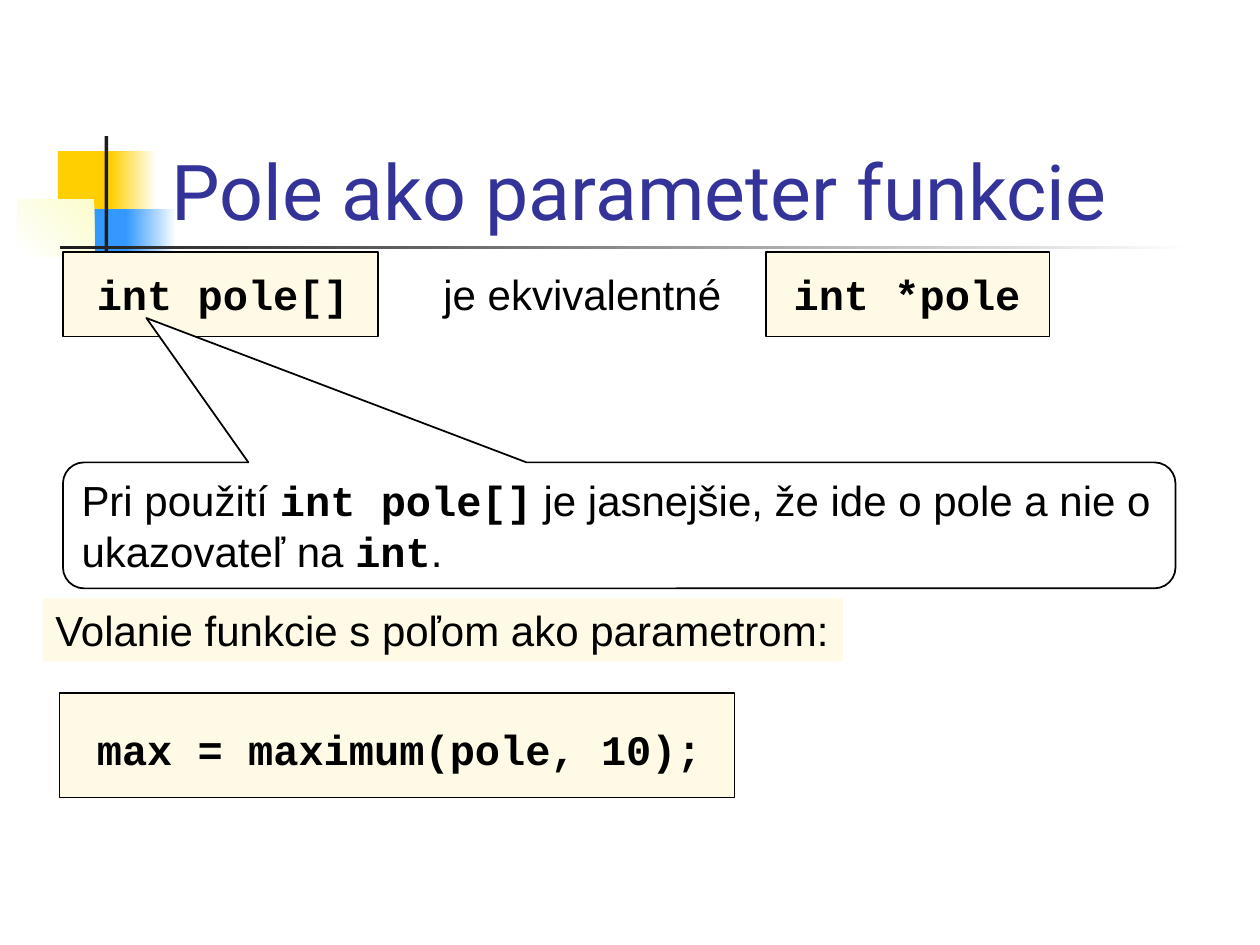
from dataclasses import dataclass

from pptx import Presentation
from pptx.dml.color import RGBColor
from pptx.enum import shapes, text
from pptx.util import Inches, Pt


@dataclass(frozen=True)
class Theme:
    title: str = "333399"
    ink: str = "000000"
    paper: str = "FFFFFF"
    cream: str = "FFFAE5"
    yellow: str = "FFCF01"
    blue: str = "3399FF"
    lime: str = "FBFCCC"
    dark: str = "1C1C1C"
    title_font: str = "Roboto"
    body_font: str = "Arial"
    code_font: str = "Courier New"
    title_size: int = 44
    body_size: int = 24


THEME = Theme()
CODE = {"font": THEME.code_font, "bold": True}


def add_run(paragraph, words, font=THEME.body_font, size=THEME.body_size,
            color=THEME.ink, bold=False):
    run = paragraph.add_run()
    run.text = words
    run.font.name = font
    run.font.size = Pt(size)
    run.font.bold = bold
    run.font.color.rgb = RGBColor.from_string(color)


def add_panel(parent, box, fill, line=None, width=0.75,
              kind=shapes.MSO_SHAPE.RECTANGLE, angle=180):
    panel = parent.add_shape(kind, *map(Inches, box))
    panel.shadow.inherit = False
    if isinstance(fill, tuple):
        panel.fill.gradient()
        panel.fill.gradient_angle = angle
        for stop, color in zip(panel.fill.gradient_stops, fill):
            stop.color.rgb = RGBColor.from_string(color)
    else:
        panel.fill.solid()
        panel.fill.fore_color.rgb = RGBColor.from_string(fill)
    if line:
        panel.line.color.rgb = RGBColor.from_string(line)
        panel.line.width = Pt(width)
    else:
        panel.line.fill.background()
    return panel


def add_label(parent, box, words, wrap=True, fill=None, **style):
    label = parent.add_textbox(*map(Inches, box))
    if fill:
        label.fill.solid()
        label.fill.fore_color.rgb = RGBColor.from_string(fill)
    frame = label.text_frame
    frame.word_wrap = wrap
    frame.auto_size = text.MSO_AUTO_SIZE.SHAPE_TO_FIT_TEXT
    add_run(frame.paragraphs[0], words, **style)


def add_ornament(slide, left, top):
    pieces = [
        ((0.32, 0.12, 0.48, 0.52), THEME.yellow, 180),
        ((0.74, 0.12, 0.36, 0.52), (THEME.paper, THEME.yellow), 180),
        ((0.45, 0.58, 0.46, 0.52), THEME.blue, 180),
        ((0.86, 0.58, 0.4, 0.52), (THEME.paper, THEME.blue), 180),
        ((0, 0.5, 0.61, 0.46), (THEME.lime, THEME.paper), 225),
        ((0.69, 0, 0.03, 1.15), THEME.dark, 180),
        ((0.34, 0.87, 9, 0.03), (THEME.paper, THEME.dark), 180),
    ]
    for (x, y, width, height), fill, angle in pieces:
        add_panel(slide.shapes, (left + x, top + y, width, height), fill, angle=angle)


def add_title(slide, box, words):
    title = slide.shapes.title
    title.element.getparent().append(title.element)
    title.left, title.top, title.width, title.height = map(Inches, box)
    frame = title.text_frame
    frame.word_wrap = True
    frame.auto_size = text.MSO_AUTO_SIZE.NONE
    frame.vertical_anchor = text.MSO_ANCHOR.BOTTOM
    heading = frame.paragraphs[0]
    heading.alignment = text.PP_ALIGN.LEFT
    add_run(heading, words, font=THEME.title_font, size=THEME.title_size,
            color=THEME.title)


def add_equivalence(slide, left, top):
    height, label_top = 0.67, top + 0.08
    add_panel(slide.shapes, (left, top, 2.5, height), THEME.cream, THEME.ink)
    add_label(slide.shapes, (left + 0.17, label_top, 2.2, 0.5), "int pole[]",
              wrap=False, **CODE)
    add_label(slide.shapes, (left + 2.92, label_top, 2.41, 0.5), "je ekvivalentné")
    add_panel(slide.shapes, (left + 5.58, top, 2.25, height), THEME.cream, THEME.ink)
    add_label(slide.shapes, (left + 5.7, label_top, 2, 0.5), "int *pole", **CODE)


def add_call(slide, left, top):
    call = slide.shapes.add_group_shape().shapes
    add_panel(call, (left + 0.13, top + 0.75, 5.36, 0.83), THEME.cream, THEME.ink)
    add_label(call, (left + 0.33, top + 0.94, 5.08, 0.5), "max = maximum(pole, 10);",
              wrap=False, fill=THEME.cream, **CODE)
    add_label(call, (left, top, 6.35, 0.5), "Volanie funkcie s poľom ako parametrom:",
              wrap=False, fill=THEME.cream)


def add_callout(slide, box):
    callout = add_panel(slide.shapes, box, THEME.paper, THEME.ink, 1,
                        shapes.MSO_SHAPE.ROUNDED_RECTANGULAR_CALLOUT)
    for index, value in enumerate((-0.425, -1.646, 0.167)):
        callout.adjustments[index] = value
    frame = callout.text_frame
    frame.word_wrap = True
    frame.vertical_anchor = text.MSO_ANCHOR.TOP
    remark = frame.paragraphs[0]
    remark.alignment = text.PP_ALIGN.LEFT
    for words, style in (
        ("Pri použití ", {}),
        ("int pole[]", CODE),
        (" je jasnejšie, že ide o pole a nie o ukazovateľ na ", {}),
        ("int", CODE),
        (".", {}),
    ):
        add_run(remark, words, **style)


def main():
    deck = Presentation()
    deck.slide_width, deck.slide_height = Inches(10), Inches(7.5)
    slide = deck.slides.add_slide(deck.slide_layouts.get_by_name("Title Only"))
    add_ornament(slide, 0.14, 1.08)
    add_title(slide, (1.26, 0.67, 8.52, 1.25), "Pole ako parameter funkcie")
    add_equivalence(slide, 0.5, 2)
    add_call(slide, 0.34, 4.75)
    add_callout(slide, (0.5, 3.67, 8.83, 1))
    deck.save("out.pptx")


if __name__ == "__main__":
    main()
